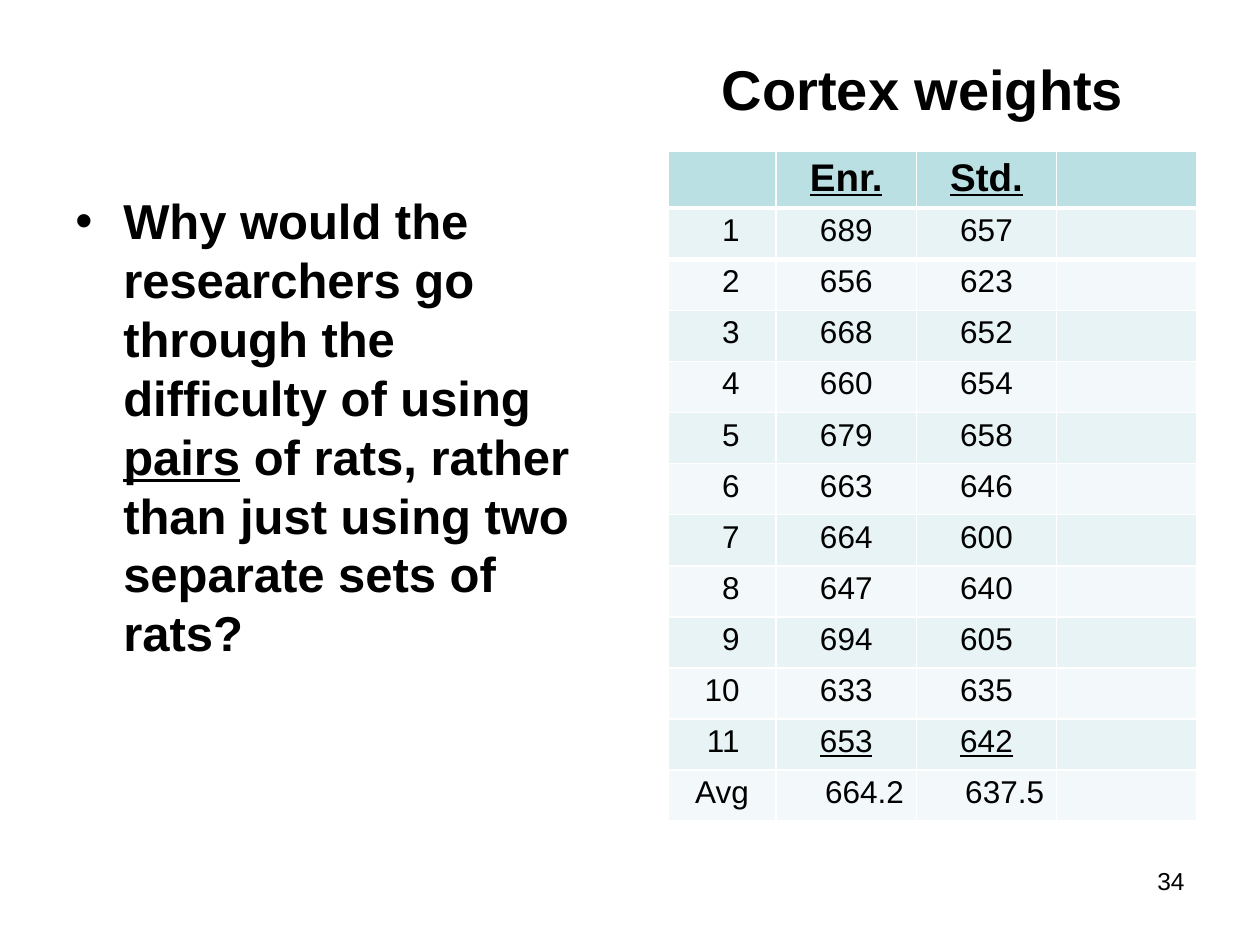
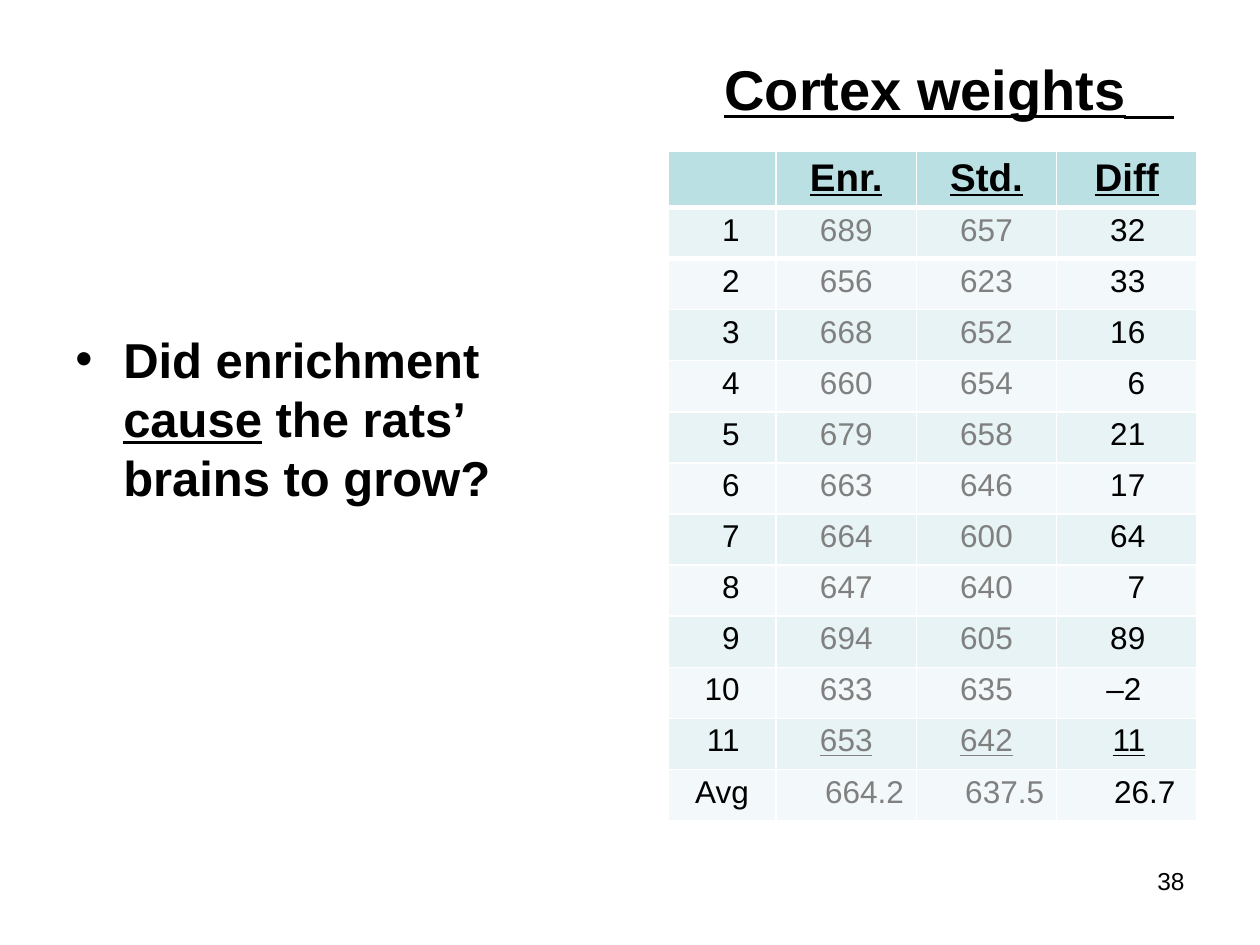
from dataclasses import dataclass

from lxml import etree
from pptx import Presentation
from pptx import util as u
from pptx.dml.color import RGBColor
from pptx.enum import shapes, text
from pptx.oxml import ns


@dataclass(frozen=True)
class Theme:
    """Colours, font and type sizes shared by the slides."""
    ink: str = "000000"
    dim: str = "808080"
    paper: str = "FFFFFF"
    head: str = "BBE0E3"
    bands: tuple = ("E7F3F4", "F3F9FA")
    font: str = "Arial"
    title: int = 32
    body: int = 28
    label: int = 22
    cell: int = 18
    foot: int = 14


T = Theme()
WIDE, HIGH = 10, 7.5
EDGE = 0.05 * WIDE
TOP = 0.05 * HIGH
BODY = (EDGE, TOP, 4.42, 0.85 * HIGH)
TITLE = (EDGE, TOP, 0.9 * WIDE, 0.51)
GRID = (0.53 * WIDE, 0.16 * HIGH, 4.2, 5.31)
FOOT = (7.17, 0.91 * HIGH, 2.33, 0.52)
LEFT, MID, RIGHT = (text.PP_ALIGN.LEFT, text.PP_ALIGN.CENTER, text.PP_ALIGN.RIGHT)

PAIRS = [(689, 657), (656, 623), (668, 652), (660, 654), (679, 658), (663, 646),
         (664, 600), (647, 640), (694, 605), (633, 635), (653, 642)]
MEANS = ("664.2", "637.5")
DIFFS = ["32", "33", "16", "6", "21", "17", "64", "7", "89", "–2", "11"]


def put(item, **vals):
    """Set each named value on an object."""
    for name, val in vals.items():
        setattr(item, name, val)


def inch(box):
    """Turn a box in inches into lengths."""
    return [u.Inches(n) for n in box]


def write(para, words, size, tint=T.ink, bold=False, line=False):
    """Add one formatted run to a paragraph."""
    run = para.add_run()
    run.text = words
    put(run.font, name=T.font, size=u.Pt(size), bold=bold, underline=line)
    run.font.color.rgb = RGBColor.from_string(tint)


def panel(slide, box, left=0.1, top=0.05):
    """Draw a pale panel and return its first paragraph."""
    shape = slide.shapes.add_shape(shapes.MSO_SHAPE.RECTANGLE, *inch(box))
    shape.shadow.inherit = False
    shape.line.fill.background()
    shape.fill.solid()
    shape.fill.fore_color.rgb = RGBColor.from_string(T.paper)
    tone = shape.fill._xPr.find(".//" + ns.qn("a:srgbClr"))
    etree.SubElement(tone, ns.qn("a:alpha"), val="90000")
    frame = shape.text_frame
    put(frame, word_wrap=True, vertical_anchor=text.MSO_ANCHOR.TOP,
        margin_left=u.Inches(left), margin_top=u.Inches(top))
    para = frame.paragraphs[0]
    para.alignment = LEFT
    return para


def ask(slide, box, parts, drop):
    """Write the bulleted question, its middle part underlined."""
    para = panel(slide, box, top=drop)
    props = para._p.get_or_add_pPr()
    hang = u.Inches(0.38)
    props.set("marL", str(hang))
    props.set("indent", str(-hang))
    etree.SubElement(props, ns.qn("a:buFont"), typeface=T.font)
    etree.SubElement(props, ns.qn("a:buChar"), char="•")
    for i, part in enumerate(parts):
        write(para, part, T.body, bold=True, line=i == 1)


def title(slide, box, line):
    """Write the heading over the table, with a rule running on if asked."""
    para = panel(slide, box, left=5.25 if line else 5.23, top=0.06)
    write(para, "Cortex weights", T.title, bold=True, line=line)
    if line:
        left, top, wide, high = box
        level = top + 1.09 * high
        rule = slide.shapes.add_connector(
            shapes.MSO_CONNECTOR.STRAIGHT,
            *inch((left + 8.42, level, left + 0.98 * wide, level)))
        put(rule.line, width=u.Pt(1.75))
        rule.line.color.rgb = RGBColor.from_string(T.ink)
        etree.SubElement(rule._element.spPr, ns.qn("a:effectLst"))


def fill(cell, words, tone, size=T.cell, align=MID, pad=0.1, **look):
    """Colour a cell and set its text."""
    cell.fill.solid()
    cell.fill.fore_color.rgb = RGBColor.from_string(tone)
    put(cell, margin_top=u.Inches(0.04), margin_bottom=u.Inches(0.04),
        margin_right=u.Inches(pad))
    para = cell.text_frame.paragraphs[0]
    para.alignment = align
    if words:
        write(para, words, size, **look)
    else:
        para.font.size = u.Pt(size)


def edge(cell, side):
    """Draw a thick pale border on one side of a cell."""
    line = etree.Element(ns.qn("a:" + side), w=str(u.Pt(3)))
    solid = etree.SubElement(line, ns.qn("a:solidFill"))
    etree.SubElement(solid, ns.qn("a:srgbClr"), val=T.paper)
    cell._tc.get_or_add_tcPr().insert(0, line)


def grid(slide, box, diffs, mean):
    """Build the table of weights, with differences if given."""
    count = len(PAIRS)
    table = slide.shapes.add_table(count + 2, 4, *inch(box)).table
    first, head = 0.86, 0.44
    for i, col in enumerate(table.columns):
        col.width = u.Inches((box[2] - first) / 3 if i else first)
    for i, row in enumerate(table.rows):
        row.height = u.Inches((box[3] - head) / (count + 1) if i else head)
    names = ("", "Enr.", "Std.", "Diff" if diffs else "")
    for col, name in enumerate(names):
        fill(table.cell(0, col), name, T.head, T.label, bold=True, line=True)
        edge(table.cell(0, col), "lnB")
        edge(table.cell(1, col), "lnT")
    tint = T.dim if diffs else T.ink
    tints = (T.ink, tint, tint, T.ink)
    aligns, pads = (RIGHT, MID, MID, RIGHT), (0.29, 0.1, 0.1, 0.41)
    for row, pair in enumerate(PAIRS, 1):
        vals = (row, *pair, diffs[row - 1] if diffs else "")
        for col, val in enumerate(map(str, vals)):
            fill(table.cell(row, col), val, T.bands[(row - 1) % 2],
                 align=aligns[col], pad=pads[col] + 0.03 * val.startswith("–"),
                 tint=tints[col], line=row == count and col > 0)
    aligns, pads = (MID, RIGHT, RIGHT, RIGHT), (0.1, 0.1, 0.1, 0.17)
    for col, val in enumerate(("Avg", *MEANS, mean)):
        fill(table.cell(count + 1, col), val, T.bands[count % 2],
             align=aligns[col], pad=pads[col], tint=tints[col])


def foot(slide, box, num):
    """Write the page number."""
    frame = slide.shapes.add_textbox(*inch(box)).text_frame
    frame.word_wrap = True
    para = frame.paragraphs[0]
    para.alignment = RIGHT
    write(para, str(num), T.foot)


def page(deck, num, parts, drop, diffs=(), mean=""):
    """Lay out one slide: question, heading, table and number."""
    slide = deck.slides.add_slide(deck.slide_layouts[6])
    ask(slide, BODY, parts, drop)
    title(slide, TITLE, bool(diffs))
    grid(slide, GRID, diffs, mean)
    foot(slide, FOOT, num)


def main():
    """Build and save the deck."""
    deck = Presentation()
    put(deck, slide_width=u.Inches(WIDE), slide_height=u.Inches(HIGH))
    page(deck, 34, ("Why would the researchers go through the difficulty of using ",
                    "pairs",
                    " of rats, rather than just using two separate sets of rats?"), 1.14)
    page(deck, 38, ("Did enrichment ", "cause", " the rats’ brains to grow?"), 2.24,
         DIFFS, "26.7")
    deck.save("out.pptx")


if __name__ == "__main__":
    main()
